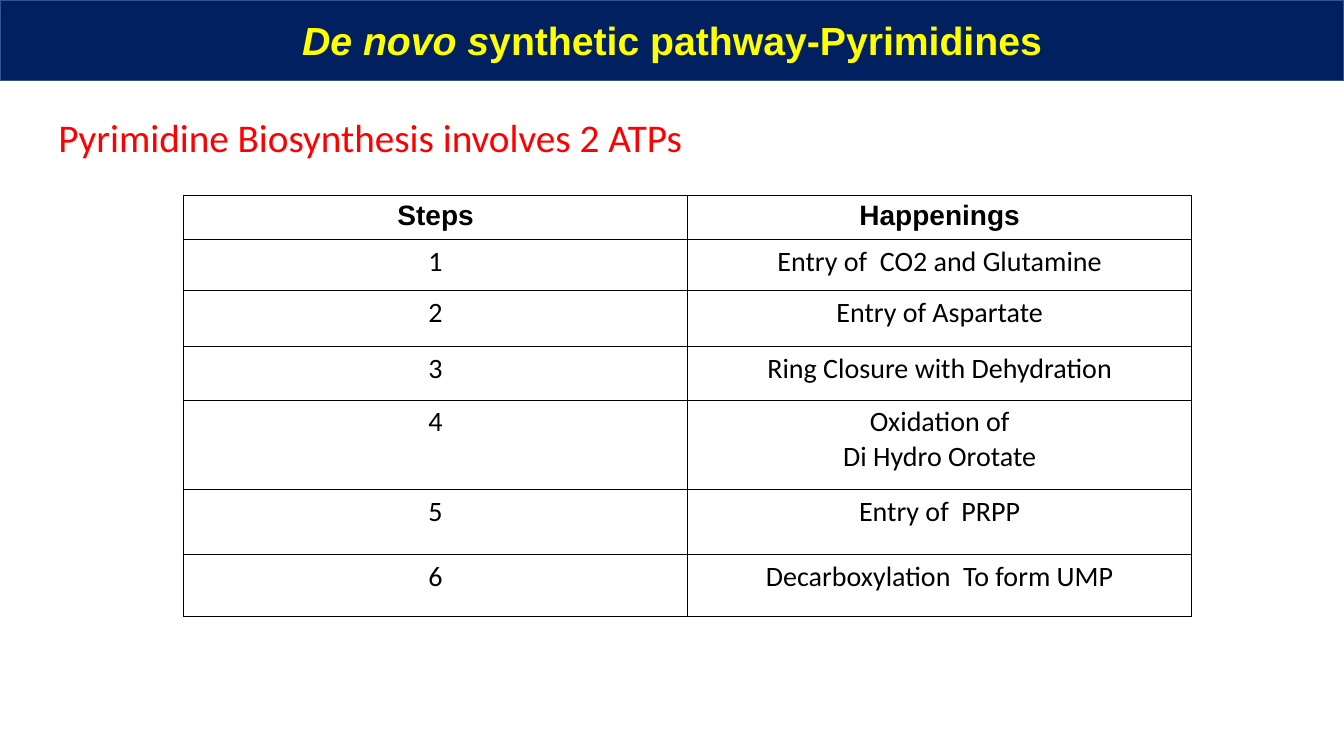
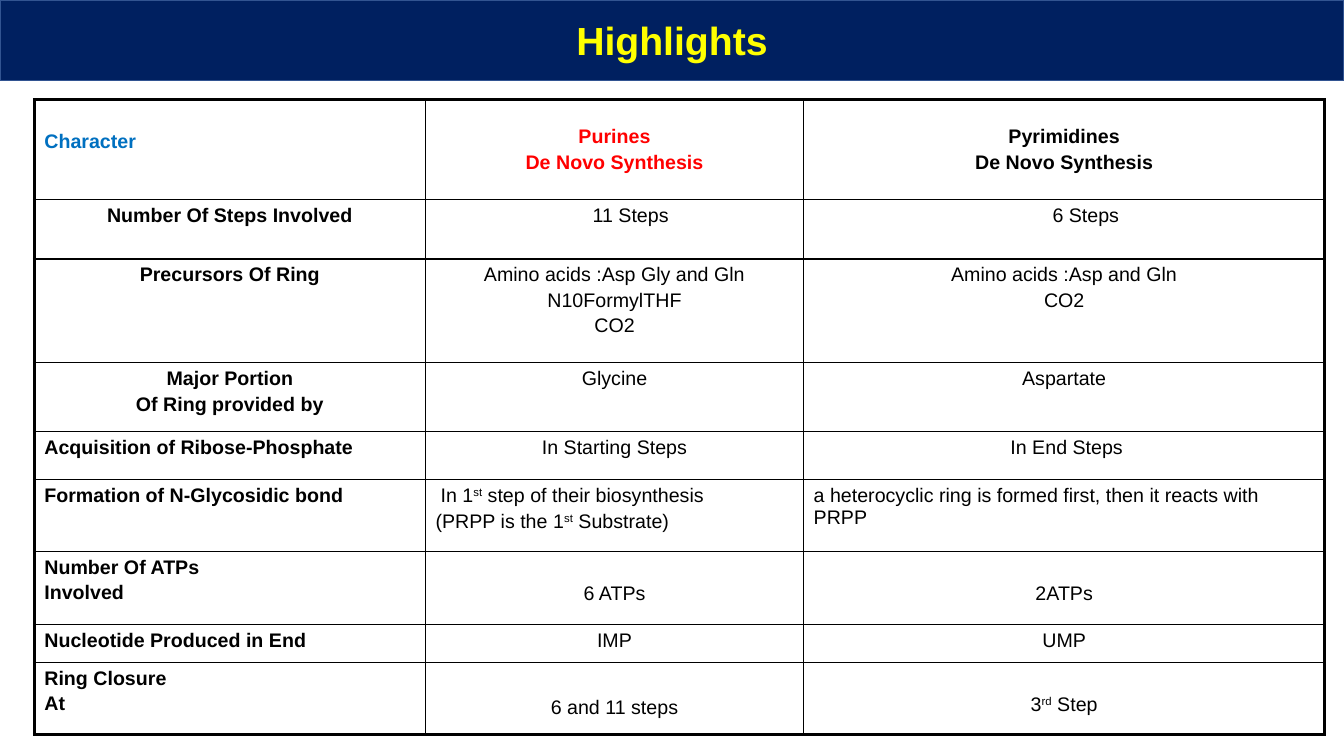
from dataclasses import dataclass

from lxml.etree import SubElement
from pptx import Presentation
from pptx.dml.color import RGBColor
from pptx.enum.text import MSO_ANCHOR, MSO_AUTO_SIZE, PP_ALIGN
from pptx.oxml.ns import qn
from pptx.util import Inches, Pt


@dataclass(frozen=True)
class Theme:
    navy: str = "002060"
    band_line: str = "325491"
    yellow: str = "FFFF00"
    red: str = "FF0000"
    blue: str = "0070C0"
    black: str = "000000"
    heading_font: str = "Arial"
    body_font: str = "Calibri"
    heading_size: int = 28
    steps_size: int = 20
    compare_size: int = 14
    thin: float = 1
    thick: float = 2.25


T = Theme()
WIDTH, HEIGHT, BAND_HEIGHT = 13.33, 7.5, 0.8
LEFT, CENTER = PP_ALIGN.LEFT, PP_ALIGN.CENTER
PUSHED_DOWN = 0.31  # top margin that starts text on the second line


def set_attrs(target, **values):
    for name, value in values.items():
        setattr(target, name, value)


def add_run(p, text, color, size, **font):
    r = p.add_run()
    r.text = text
    set_attrs(r.font, size=Pt(size), **font)
    r.font.color.rgb = RGBColor.from_string(color)
    return r


# Title band shared by the slides
def add_title_slide(prs, title, italic_start=""):
    s = prs.slides.add_slide(prs.slide_layouts[5])
    sp = s.shapes.title
    set_attrs(sp, left=0, top=0, width=Inches(WIDTH), height=Inches(BAND_HEIGHT))
    sp.fill.solid()
    sp.fill.fore_color.rgb = RGBColor.from_string(T.navy)
    sp.line.color.rgb = RGBColor.from_string(T.band_line)
    sp.line.width = Pt(T.thin)
    tf = sp.text_frame
    set_attrs(tf, auto_size=MSO_AUTO_SIZE.NONE, word_wrap=True,
              vertical_anchor=MSO_ANCHOR.MIDDLE)
    p = tf.paragraphs[0]
    p.alignment = CENTER
    for text, italic in ((italic_start, True), (title, False)):
        if text:
            add_run(p, text, T.yellow, T.heading_size, name=T.heading_font,
                    bold=True, italic=italic)
    return s


def add_statement(s, text, left, top, width, height):
    tf = s.shapes.add_textbox(*map(Inches, (left, top, width, height))).text_frame
    tf.word_wrap = False
    add_run(tf.paragraphs[0], text, T.red, T.heading_size, name=T.body_font)


# Tables
def set_borders(cell, widths):
    tcPr = cell._tc.get_or_add_tcPr()
    for side, width in zip("LRTB", widths):
        ln = SubElement(tcPr, qn(f"a:ln{side}"), w=str(Pt(width)))
        fill = SubElement(ln, qn("a:solidFill"))
        SubElement(fill, qn("a:srgbClr"), val=T.black)


def fill_cell(cell, text, size, font, bold=False, color=T.black, align=CENTER,
              space=0, top=0.05, indent=0, anchor=MSO_ANCHOR.TOP):
    """Line breaks part paragraphs; carets enclose superscripts."""
    set_attrs(cell, margin_top=Inches(top), vertical_anchor=anchor)
    tf = cell.text_frame
    for i, line in enumerate(text.split("\n")):
        p = tf.add_paragraph() if i else tf.paragraphs[0]
        p.alignment = align
        if i and space:
            p.space_before = Pt(space)
        if indent and not i:
            p._p.get_or_add_pPr().set("marL", str(Inches(indent)))
        for j, part in enumerate(line.split("^")):
            r = add_run(p, part, color, size, name=font, bold=bold)
            if j % 2:
                r.font._element.set("baseline", "30000")


def add_grid(s, left, top, col_widths, row_heights, rows, outer, cell_format):
    """Each cell is a text or a (text, options) pair."""
    n_rows, n_cols = len(row_heights), len(col_widths)
    table = s.shapes.add_table(n_rows, n_cols, Inches(left), Inches(top),
                               Inches(sum(col_widths)),
                               Inches(sum(row_heights))).table
    set_attrs(table, first_row=False, horz_banding=False)
    for column, width in zip(table.columns, col_widths):
        column.width = Inches(width)
    for row, height in zip(table.rows, row_heights):
        row.height = Inches(height)
    for i, row in enumerate(rows):
        for j, content in enumerate(row):
            text, options = content if isinstance(content, tuple) else (content, {})
            cell = table.cell(i, j)
            edges = (j == 0, j == n_cols - 1, i == 0, i == n_rows - 1)
            set_borders(cell, [outer if edge else T.thin for edge in edges])
            cell.fill.background()
            fill_cell(cell, text, **{**cell_format(i, j), **options})


# Slide content
def steps_slide(prs):
    s = add_title_slide(prs, "ynthetic pathway-Pyrimidines", "De novo s")
    add_statement(s, "Pyrimidine Biosynthesis involves 2 ATPs", 0.48, 1.08, 6.46, 0.57)
    happenings = ["Entry of  CO2 and Glutamine", "Entry of Aspartate",
                  "Ring Closure with Dehydration", "Oxidation of\nDi Hydro Orotate",
                  "Entry of  PRPP", "Decarboxylation  To form UMP"]
    rows = [("Steps", "Happenings")]
    rows += [(str(n), text) for n, text in enumerate(happenings, 1)]

    def cell_format(i, j):
        return {"size": T.steps_size, "bold": i == 0,
                "font": T.body_font if i else T.heading_font}

    add_grid(s, 1.82, 1.94, [5, 5], [0.44, 0.5, 0.56, 0.53, 0.89, 0.64, 0.62],
             rows, T.thin, cell_format)


def highlights_slide(prs):
    s = add_title_slide(prs, "Highlights")
    left, centered = {"align": LEFT}, {"align": CENTER}
    pushed = {"top": PUSHED_DOWN}
    heading = {"bold": True, "anchor": MSO_ANCHOR.MIDDLE}
    rows = [
        [("Character", {"color": T.blue, **pushed}),
         ("Purines\nDe Novo Synthesis", {"color": T.red, **heading}),
         ("Pyrimidines\nDe Novo Synthesis", heading)],
        [("Number Of Steps Involved", centered),
         ("11 Steps", {"indent": 0.32}), ("6 Steps", {"indent": 0.43})],
        [("Precursors Of Ring", centered),
         "Amino acids :Asp Gly and Gln\nN10FormylTHF\nCO2",
         "Amino acids :Asp and Gln\nCO2"],
        [("Major Portion\nOf Ring provided by", centered), "Glycine", "Aspartate"],
        ["Acquisition of Ribose-Phosphate", "In Starting Steps",
         ("In End Steps", {"indent": 0.05})],
        ["Formation of N-Glycosidic bond",
         ("In 1^st^ step of their biosynthesis\n(PRPP is the 1^st^ Substrate)",
          {"indent": 0.05, **left}),
         ("a heterocyclic ring is formed first, then it reacts with PRPP", left)],
        ["Number Of ATPs\nInvolved", ("6 ATPs", pushed), ("2ATPs", pushed)],
        ["Nucleotide Produced in End", "IMP", "UMP"],
        ["Ring Closure\nAt", ("6 and 11 steps", {"top": 0.34}),
         ("3^rd^ Step", pushed)],
    ]

    def cell_format(i, j):
        return {"size": T.compare_size, "font": T.heading_font, "space": 2.5,
                "bold": j == 0, "align": CENTER if j else LEFT}

    add_grid(s, 0.34, 0.99, [3.88, 3.75, 5.17],
             [0.99, 0.59, 1.03, 0.68, 0.48, 0.71, 0.73, 0.37, 0.72],
             rows, T.thick, cell_format)


def main():
    prs = Presentation()
    set_attrs(prs, slide_width=Inches(WIDTH), slide_height=Inches(HEIGHT))
    steps_slide(prs)
    highlights_slide(prs)
    prs.save("out.pptx")


if __name__ == "__main__":
    main()
